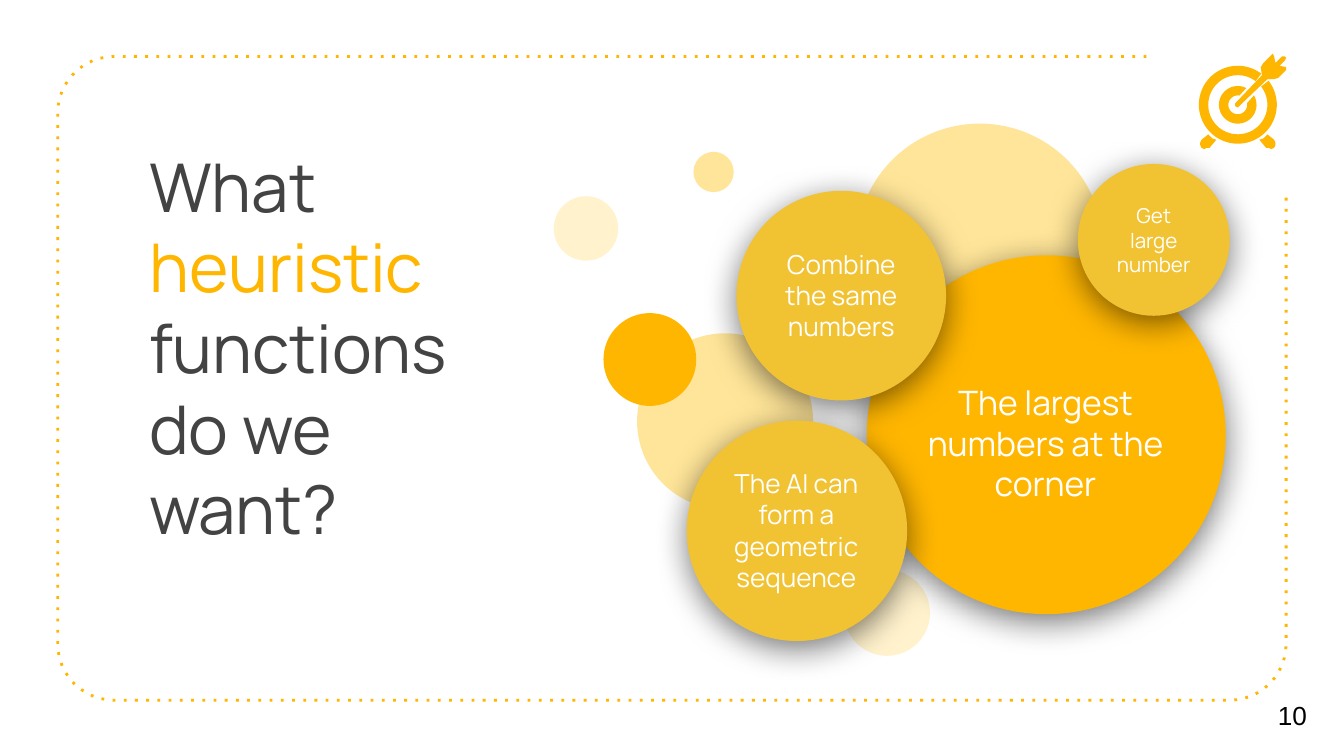
import math

import pptx
import pptx.dml.color
import pptx.enum.dml
import pptx.enum.shapes
import pptx.enum.text
import pptx.oxml
import pptx.oxml.ns
import pptx.util

PX = 9144  # EMU in one px, 100 px to the inch
FINE = 100  # outline units in one px
AMBER, GOLD, SAND, CREAM = "FFB600", "F1C232", "FFE599", "FFF2CC"
WHITE, GREY, BLACK = "FFFFFF", "434343", "000000"
MIDDLE = pptx.enum.text.MSO_ANCHOR.MIDDLE
LEFT, CENTER = pptx.enum.text.PP_ALIGN.LEFT, pptx.enum.text.PP_ALIGN.CENTER

SHADOW = """<a:effectLst xmlns:a="http://schemas.openxmlformats.org/drawingml/2006/main">
<a:outerShdw blurRad="228600" dist="50800" dir="5400000" algn="bl" rotWithShape="0">
<a:srgbClr val="000000"><a:alpha val="53000"/></a:srgbClr></a:outerShdw></a:effectLst>"""

# left, top, diameter, colour
PLAIN_BUBBLES = [
    (628, 424, 64, CREAM),
    (412, 146, 48, CREAM),
    (474, 248, 131, SAND),
    (637, 92, 184, SAND),
    (449, 233, 69, AMBER),
    (516, 113, 30, SAND),
]
# left, top, diameter, colour, text box within the bubble, point size, wording
LABELLED_BUBBLES = [
    (645, 190, 267, AMBER, (31, 76, 204, 127), 18, "The largest numbers at the corner"),
    (548, 142, 156, GOLD, (25, 26, 106, 103), 14, "Combine the same numbers"),
    (511, 313, 164, GOLD, (23, 30, 117, 103), 14, "The AI can form a geometric sequence"),
    (802, 122, 113, GOLD, (18, 19, 77, 75), 11, "Get large number"),
]
# offsets from the centre of the target
FOOT = [(-22, 22), (-27, 26), (-28, 28), (-28, 30), (-27, 32), (-25, 33), (-23, 32),
        (-21, 32), (-16, 26), (-19, 25)]
ARROW = [(26, -38), (25, -37), (19, -31), (17, -28), (18, -22), (-2, -1), (-2, 1),
         (0, 2), (1, 1), (22, -19), (27, -19), (30, -20), (36, -26), (36, -28),
         (31, -29), (35, -33), (36, -35), (35, -36), (33, -36), (28, -31), (27, -36)]


def color(value):
    return pptx.dml.color.RGBColor.from_string(value)


def px(*lengths):
    return [pptx.util.Emu(length * PX) for length in lengths]


def style_text(frame, size, font, align, anchor):
    frame.word_wrap = True
    frame.auto_size = pptx.enum.text.MSO_AUTO_SIZE.NONE
    frame.vertical_anchor = anchor
    frame.margin_left, frame.margin_top, frame.margin_right, frame.margin_bottom = px(10, 10, 10, 10)
    para = frame.paragraphs[0]
    para.alignment = align
    para.font.size = pptx.util.Pt(size)
    para.font.name = font
    return para


def add_text(page, box, wording, size, font, tint, align):
    frame = page.shapes.add_textbox(*px(*box)).text_frame
    para = style_text(frame, size, font, align, MIDDLE)
    para.text = wording
    para.font.color.rgb = color(tint)


def add_circle(page, left, top, size, tint):
    oval = pptx.enum.shapes.MSO_SHAPE.OVAL
    circle = page.shapes.add_shape(oval, *px(left, top, size, size))
    circle.fill.solid()
    circle.fill.fore_color.rgb = color(tint)
    circle.line.fill.background()
    circle.shadow.inherit = False
    return circle


def arc(x, y, radius, start, end, steps=12):
    """Points along an arc, in degrees counterclockwise from the right."""
    angles = [math.radians(start + (end - start) * step / steps) for step in range(steps + 1)]
    return [(x + radius * math.cos(angle), y - radius * math.sin(angle)) for angle in angles]


def add_outline(page, points, closed):
    fine_points = [(x * FINE, y * FINE) for x, y in points]
    builder = page.shapes.build_freeform(*fine_points[0], scale=PX / FINE)
    builder.add_line_segments(fine_points[1:], close=closed)
    outline = builder.convert_to_shape()
    outline.shadow.inherit = False
    return outline


def add_frame(page, left, top, width, height):
    """Dotted rounded border, left open at its top right corner."""
    radius = 42
    right, bottom = left + width, top + height
    points = [
        (right - 104, top),
        *arc(left + radius, top + radius, radius, 90, 180),
        *arc(left + radius, bottom - radius, radius, 180, 270),
        *arc(right - radius, bottom - radius, radius, 270, 360),
        (right, top + 104),
    ]
    border = add_outline(page, points, False)
    border.fill.background()
    border.line.color.rgb = color(AMBER)
    border.line.width = pptx.util.Pt(1.5)
    border.line.dash_style = pptx.enum.dml.MSO_LINE.ROUND_DOT
    dash = next(border.element.spPr.iter(pptx.oxml.ns.qn("a:prstDash")))
    dash.set("val", "dot")


def add_title(page, left, top, width, height):
    title = page.shapes.title
    title.left, title.top, title.width, title.height = px(left, top, width, height)
    para = style_text(title.text_frame, 36, "Manrope", LEFT, pptx.enum.text.MSO_ANCHOR.TOP)
    for wording, tint in [("What ", GREY), ("heuristic", AMBER), (" functions do we want?", GREY)]:
        span = para.add_run()
        span.text = wording
        span.font.color.rgb = color(tint)


def add_bubbles(page, left, top):
    for x, y, size, tint in PLAIN_BUBBLES:
        add_circle(page, left + x, top + y, size, tint)
    for x, y, size, tint, (dx, dy, width, height), points, wording in LABELLED_BUBBLES:
        circle = add_circle(page, left + x, top + y, size, tint)
        properties = circle.element.spPr
        properties.replace(properties.effectLst, pptx.oxml.parse_xml(SHADOW))
        box = (left + x + dx, top + y + dy, width, height)
        add_text(page, box, wording, points, "Manrope", WHITE, CENTER)


def add_target(page, x, y):
    """Target with an arrow, centred on x, y."""
    outer_ring = arc(0, 0, 29, 38, -307, 60) + arc(0, 0, 22, -307, 38, 60)
    inner_ring = arc(0, 0, 14, 30, -297, 40) + arc(0, 0, 7, -280, 10, 40)
    other_foot = [(-dx, dy) for dx, dy in FOOT]
    for part in (outer_ring, inner_ring, FOOT, other_foot, ARROW):
        piece = add_outline(page, [(x + dx, y + dy) for dx, dy in part], True)
        piece.fill.solid()
        piece.fill.fore_color.rgb = color(AMBER)
        piece.line.fill.background()


def main():
    deck = pptx.Presentation()
    deck.slide_width = pptx.util.Emu(1000 * PX)
    deck.slide_height = pptx.util.Emu(deck.slide_width * 9 // 16)
    page = deck.slides.add_slide(deck.slide_layouts[5])
    add_frame(page, 43, 42, 914, 479)
    add_title(page, 101, 98, 276, 348)
    add_text(page, (941, 502, 59, 60), "10", 14, "Arial", BLACK, LEFT)
    add_bubbles(page, 0, 0)
    add_target(page, 921, 78)
    deck.save("out.pptx")


if __name__ == "__main__":
    main()
